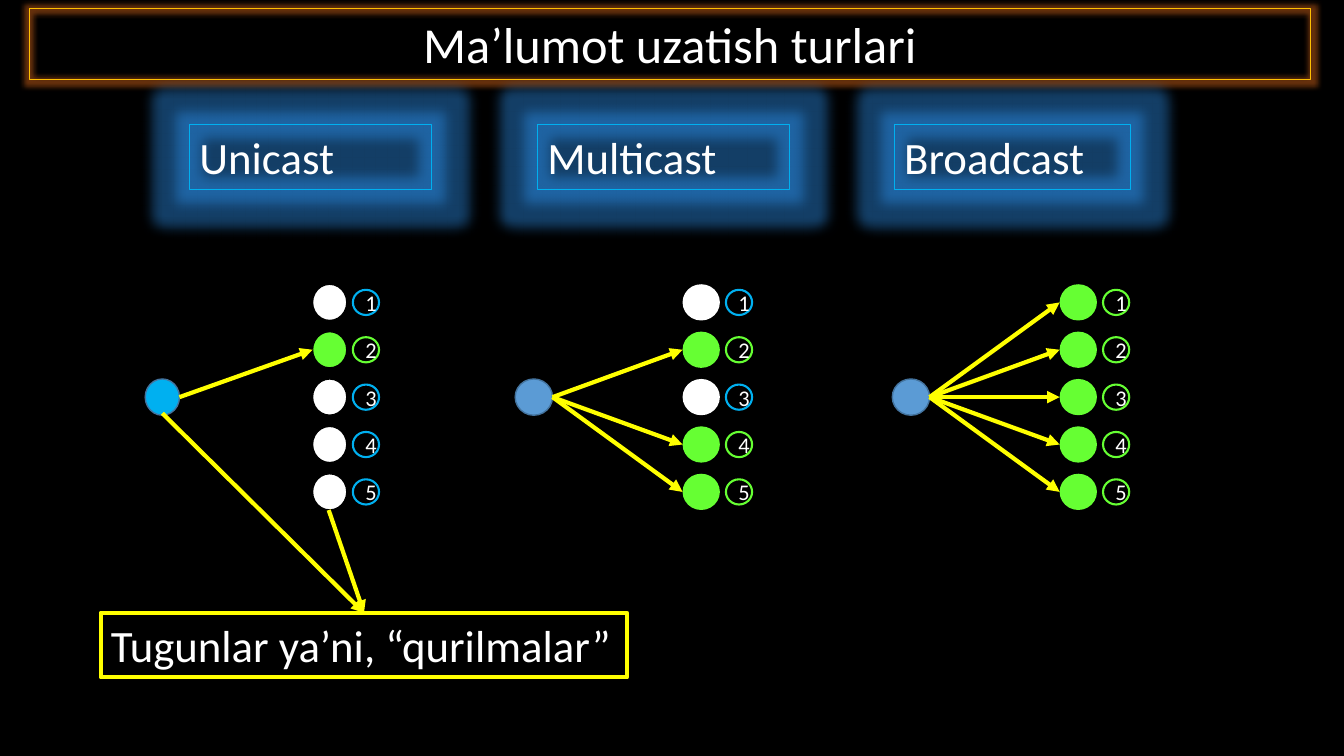
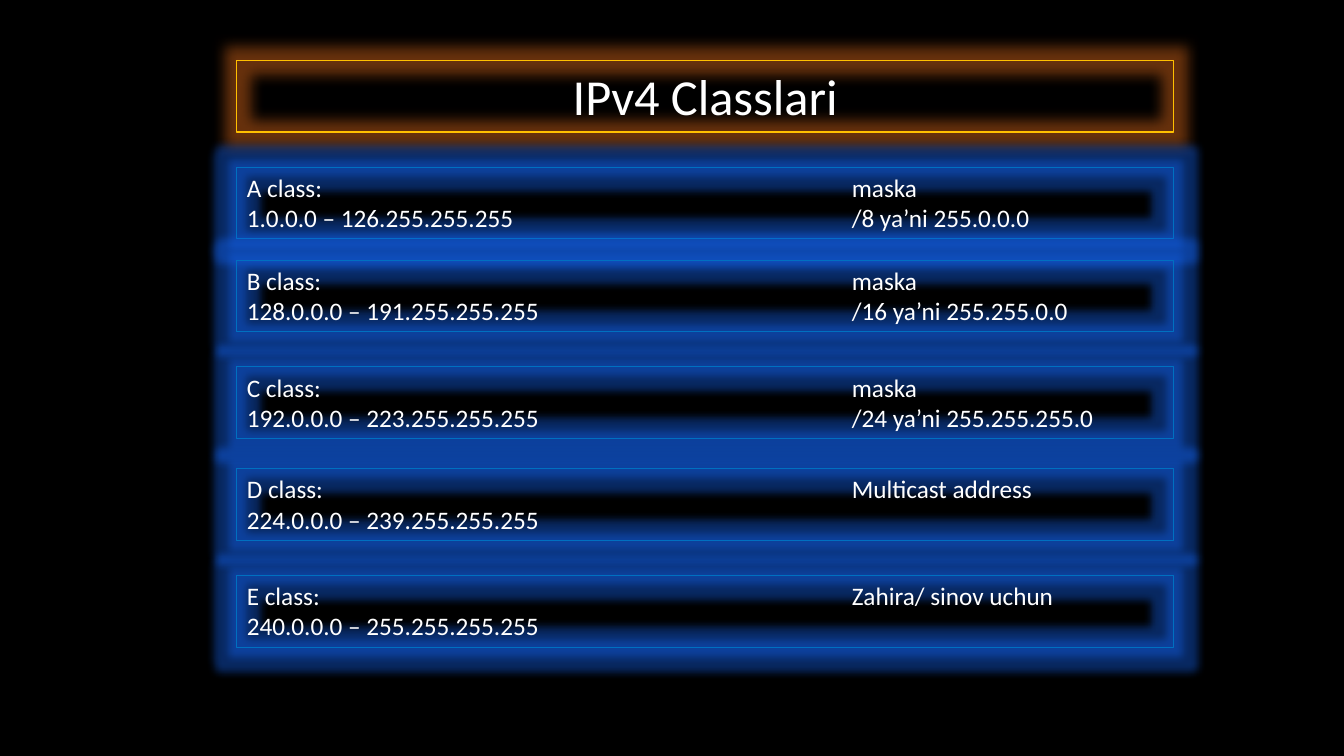
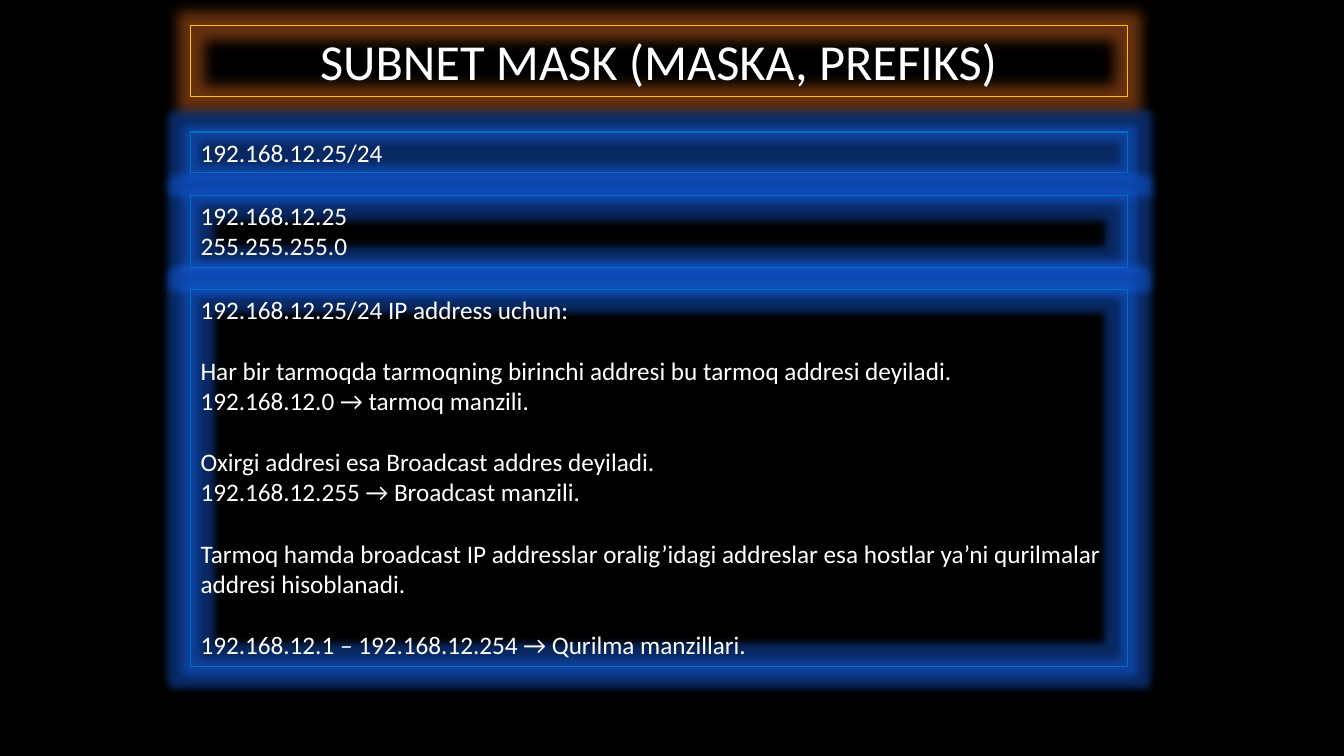
from lxml import etree
from pptx import Presentation
from pptx import util as u
from pptx.dml.color import RGBColor
from pptx.enum import shapes, text
from pptx.oxml.ns import qn

BLACK = RGBColor(0x00, 0x00, 0x00)
WHITE = RGBColor(0xFF, 0xFF, 0xFF)
GOLD = RGBColor(0xFF, 0xC0, 0x00)
YELLOW = RGBColor(0xFF, 0xFF, 0x00)
GREEN = RGBColor(0x66, 0xFF, 0x33)
SKY = RGBColor(0x00, 0xB0, 0xF0)
BLUE = RGBColor(0x00, 0x70, 0xC0)
STEEL = RGBColor(0x5B, 0x9B, 0xD5)
STEEL_EDGE = RGBColor(0x43, 0x73, 0x9E)
ORANGE_GLOW = RGBColor(0xED, 0x7D, 0x31)
BLUE_GLOW = RGBColor(0x44, 0x72, 0xC4)

FONT = "Calibri"
CELL = u.Inches(0.1)  # one column or row of the grid
SPACED = 22  # points that stand for one empty line of body text


def cells(*counts):
    return [round(count * CELL) for count in counts]


def add_child(parent, tag, **attributes):
    child = etree.SubElement(parent, qn(tag))
    for key, value in attributes.items():
        child.set(key, str(value))
    return child


def write(shape, lines, size=18, color=WHITE, align=text.PP_ALIGN.LEFT,
          anchor=text.MSO_ANCHOR.TOP, tab=None, gaps=()):
    """Fill a shape with paragraphs; gaps holds the indexes that get space above."""
    frame = shape.text_frame
    frame.word_wrap = True
    frame.auto_size = text.MSO_AUTO_SIZE.NONE
    frame.vertical_anchor = anchor
    for index, line in enumerate(lines):
        paragraph = frame.add_paragraph() if index else frame.paragraphs[0]
        paragraph.alignment = align
        paragraph.space_before = u.Pt(SPACED if index in gaps else 0)
        if tab:
            stops = add_child(paragraph._p.get_or_add_pPr(), "a:tabLst")
            add_child(stops, "a:tab", pos=cells(tab)[0], algn="l")
        run = paragraph.add_run()
        run.text = line
        run.font.name = FONT
        run.font.size = u.Pt(size)
        run.font.color.rgb = color


class Deck:
    def __init__(self):
        self.file = Presentation()
        self.file.slide_width, self.file.slide_height = u.Inches(13.33), u.Inches(7.5)
        background = self.file.slide_master.background.fill
        background.solid()
        background.fore_color.rgb = BLACK
        self.slide = None

    def dress(self, shape, fill=None, line=None, stroke=0.75, glow=None, radius=0):
        if fill is None:
            shape.fill.background()
        else:
            shape.fill.solid()
            shape.fill.fore_color.rgb = fill
        if line is None:
            shape.line.fill.background()
        else:
            shape.line.color.rgb = line
            shape.line.width = u.Pt(stroke)
        shape.shadow.inherit = False
        if glow is not None:
            effects = shape._element.spPr.find(qn("a:effectLst"))
            halo = add_child(effects, "a:glow", rad=u.Pt(radius))
            tint = add_child(halo, "a:srgbClr", val=glow)
            add_child(tint, "a:satMod", val=175000)
            add_child(tint, "a:alpha", val=40000)

    def new_slide(self, title, left, top, width, radius=18):
        self.slide = self.file.slides.add_slide(self.file.slide_layouts[5])
        heading = self.slide.shapes.title
        heading.left, heading.top, heading.width, heading.height = cells(left, top, width, 7.1)
        self.dress(heading, line=GOLD, glow=ORANGE_GLOW, radius=radius)
        write(heading, [title], size=36, align=text.PP_ALIGN.CENTER)

    def panel(self, lines, left, top, width, height, line=BLUE, stroke=0.75,
              glow=BLUE_GLOW, radius=11, **format):
        box = self.slide.shapes.add_textbox(*cells(left, top, width, height))
        self.dress(box, line=line, stroke=stroke, glow=glow, radius=radius)
        write(box, lines, **format)

    def circle(self, left, middle, width, height, label=None, **look):
        """Draw an ellipse centred on a row, with an optional number."""
        dot = self.slide.shapes.add_shape(
            shapes.MSO_SHAPE.OVAL, *cells(left, middle - height / 2, width, height))
        self.dress(dot, **look)
        if label:
            write(dot, [label], size=16, align=text.PP_ALIGN.CENTER,
                  anchor=text.MSO_ANCHOR.MIDDLE)

    def arrow(self, start, end):
        link = self.slide.shapes.add_connector(
            shapes.MSO_CONNECTOR.STRAIGHT, *cells(*start, *end))
        link.line.color.rgb = YELLOW
        link.line.width = u.Pt(3)
        add_child(link.line._get_or_add_ln(), "a:tailEnd", type="triangle")
        add_child(link._element.spPr, "a:effectLst")

    def cast(self, left, targets, node_width=3.7, sender=STEEL, outline=None):
        """Draw one sender, five numbered receivers and arrows to the targets."""
        first_row, pitch, reach, badge_gap = 30, 4.7, 16.6, 0.6
        hub = first_row + 2 * pitch
        receiver = left + reach
        self.circle(left, hub, node_width, 3.6, fill=sender, line=STEEL_EDGE, stroke=1)
        for number in range(1, 6):
            row = first_row + (number - 1) * pitch
            hit = number in targets
            self.circle(receiver, row, node_width, 3.6, fill=GREEN if hit else WHITE,
                        line=outline, stroke=1)
            self.circle(receiver + node_width + badge_gap, row, 2.6, 2.5, str(number),
                        line=GREEN if hit else SKY, stroke=1.5)
            if hit:
                self.arrow((left + node_width, hub), (receiver, row))


def casting_slide(deck):
    deck.new_slide("Ma’lumot uzatish turlari", 2.9, 0.8, 127.1, radius=8)
    for name, left, width in (("Unicast", 18.8, 24), ("Multicast", 53.3, 25),
                              ("Broadcast", 88.7, 23.4)):
        deck.panel([name], left, 12.4, width, 6.4, line=SKY, glow=STEEL,
                   radius=18, size=32)
    deck.cast(14.4, {2}, node_width=3.4, sender=SKY, outline=BLACK)
    deck.cast(51.1, {2, 4, 5})
    deck.cast(88.5, {1, 2, 3, 4, 5})
    deck.panel(["Tugunlar ya’ni, “qurilmalar”"], 10, 60.8, 52.2, 6.4, line=YELLOW,
               stroke=3, glow=None, size=32)
    for start in ((16.1, 41), (32.6, 50.6)):
        deck.arrow(start, (36.1, 60.8))


def classes_slide(deck):
    left, width = 23.5, 92.9
    deck.new_slide("IPv4 Classlari", left, 6, width)
    address_classes = (
        (16.6, "A", "1.0.0.0 – 126.255.255.255", "maska", "/8 ya’ni 255.0.0.0"),
        (25.8, "B", "128.0.0.0 – 191.255.255.255", "maska", "/16 ya’ni 255.255.0.0"),
        (36.4, "C", "192.0.0.0 – 223.255.255.255", "maska", "/24 ya’ni 255.255.255.0"),
        (46.5, "D", "224.0.0.0 – 239.255.255.255", "Multicast address", ""),
        (57.1, "E", "240.0.0.0 – 255.255.255.255", "Zahira/ sinov uchun", ""),
    )
    for top, letter, span, use, mask in address_classes:
        second = f"{span}\t{mask}" if mask else span
        deck.panel([f"{letter} class:\t{use}", second], left, top, width, 7.1, tab=60)


def mask_slide(deck):
    left, width = 18.9, 92.9
    deck.new_slide("SUBNET MASK (MASKA, PREFIKS)", left, 2.5, width)
    deck.panel(["192.168.12.25/24"], left, 13.1, width, 4)
    deck.panel(["192.168.12.25", "255.255.255.0"], left, 19.4, width, 7.1)
    deck.panel([
        "192.168.12.25/24 IP address uchun:",
        "Har bir tarmoqda tarmoqning birinchi addresi bu tarmoq addresi deyiladi.",
        "192.168.12.0 → tarmoq manzili.",
        "Oxirgi addresi esa Broadcast addres deyiladi.",
        "192.168.12.255 → Broadcast manzili.",
        "Tarmoq hamda broadcast IP addresslar oralig’idagi addreslar esa hostlar "
        "ya’ni qurilmalar addresi hisoblanadi.",
        "192.168.12.1 – 192.168.12.254 → Qurilma manzillari.",
    ], left, 28.7, width, 37.4, gaps={1, 3, 5, 6})


def main():
    deck = Deck()
    casting_slide(deck)
    classes_slide(deck)
    mask_slide(deck)
    deck.file.save("out.pptx")


if __name__ == "__main__":
    main()
